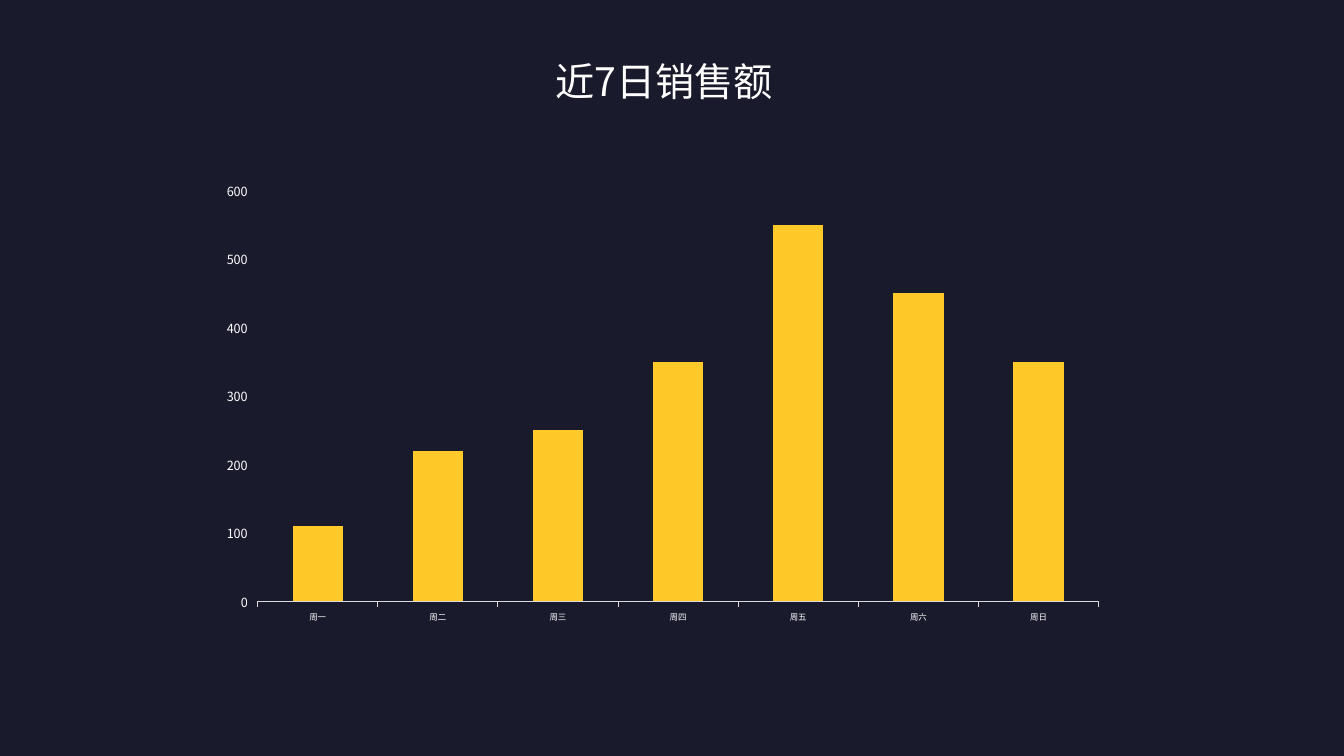
from lxml.etree import SubElement
from pptx import Presentation
from pptx.chart.data import CategoryChartData
from pptx.dml.color import RGBColor
from pptx.enum.chart import XL_CHART_TYPE, XL_TICK_MARK
from pptx.enum.text import MSO_AUTO_SIZE
from pptx.oxml.ns import qn
from pptx.util import Pt

TITLE = "近7日销售额"
SALES = {"周一": 110, "周二": 220, "周三": 250, "周四": 350, "周五": 550, "周六": 450, "周日": 350}
FONT = "Noto Sans CJK SC"
NAVY, WHITE, GREY, YELLOW = "191A2C", "FFFFFF", "D9D9D9", "FFC929"
TITLE_BOX = (389.5, 37.4, 181.4, 41)
CHART_BOX = (149, 123.1, 648.7, 328.3)


def paint(color_format, color):
    color_format.rgb = RGBColor.from_string(color)


def style_font(font, size, color=WHITE):
    font.size = Pt(size)
    font.name = FONT
    font.bold = False
    font.fill.solid()
    paint(font.fill.fore_color, color)


def add_text(page, text, *, place, size, color=WHITE):
    box = page.shapes.add_textbox(*map(Pt, place))
    frame = box.text_frame
    frame.word_wrap = True
    frame.auto_size = MSO_AUTO_SIZE.SHAPE_TO_FIT_TEXT
    span = frame.paragraphs[0].add_run()
    span.text = text
    style_font(span.font, size, color)
    SubElement(span.font._element, qn("a:ea"), typeface=FONT)


def add_sales_chart(page):
    data = CategoryChartData()
    data.categories = list(SALES)
    data.add_series("Series 1", list(SALES.values()))
    chart = page.shapes.add_chart(
        XL_CHART_TYPE.COLUMN_CLUSTERED, *map(Pt, CHART_BOX), data
    ).chart
    chart.has_title = False
    chart.has_legend = False
    style_font(chart.font, 9)

    plot = chart.plots[0]
    plot.gap_width = 139
    plot.overlap = -27
    plot.vary_by_categories = False
    bars = plot.series[0].format.fill
    bars.solid()
    paint(bars.fore_color, YELLOW)

    for axis, size in ((chart.category_axis, 6), (chart.value_axis, 9)):
        axis.has_major_gridlines = False
        axis.major_tick_mark = XL_TICK_MARK.OUTSIDE
        axis.minor_tick_mark = XL_TICK_MARK.NONE
        style_font(axis.tick_labels.font, size)
        SubElement(axis.tick_labels.font._element, qn("a:ea"), typeface=FONT)
    chart.value_axis.format.line.fill.background()
    baseline = chart.category_axis.format.line
    baseline.width = Pt(0.75)
    paint(baseline.color, GREY)


def main():
    """Build the weekly sales slide."""
    deck = Presentation()
    deck.slide_width, deck.slide_height = Pt(960), Pt(540)
    page = deck.slides.add_slide(deck.slide_layouts[6])
    page.background.fill.solid()
    paint(page.background.fill.fore_color, NAVY)
    add_text(page, TITLE, place=TITLE_BOX, size=28)
    add_sales_chart(page)
    deck.save("out.pptx")


if __name__ == "__main__":
    main()
